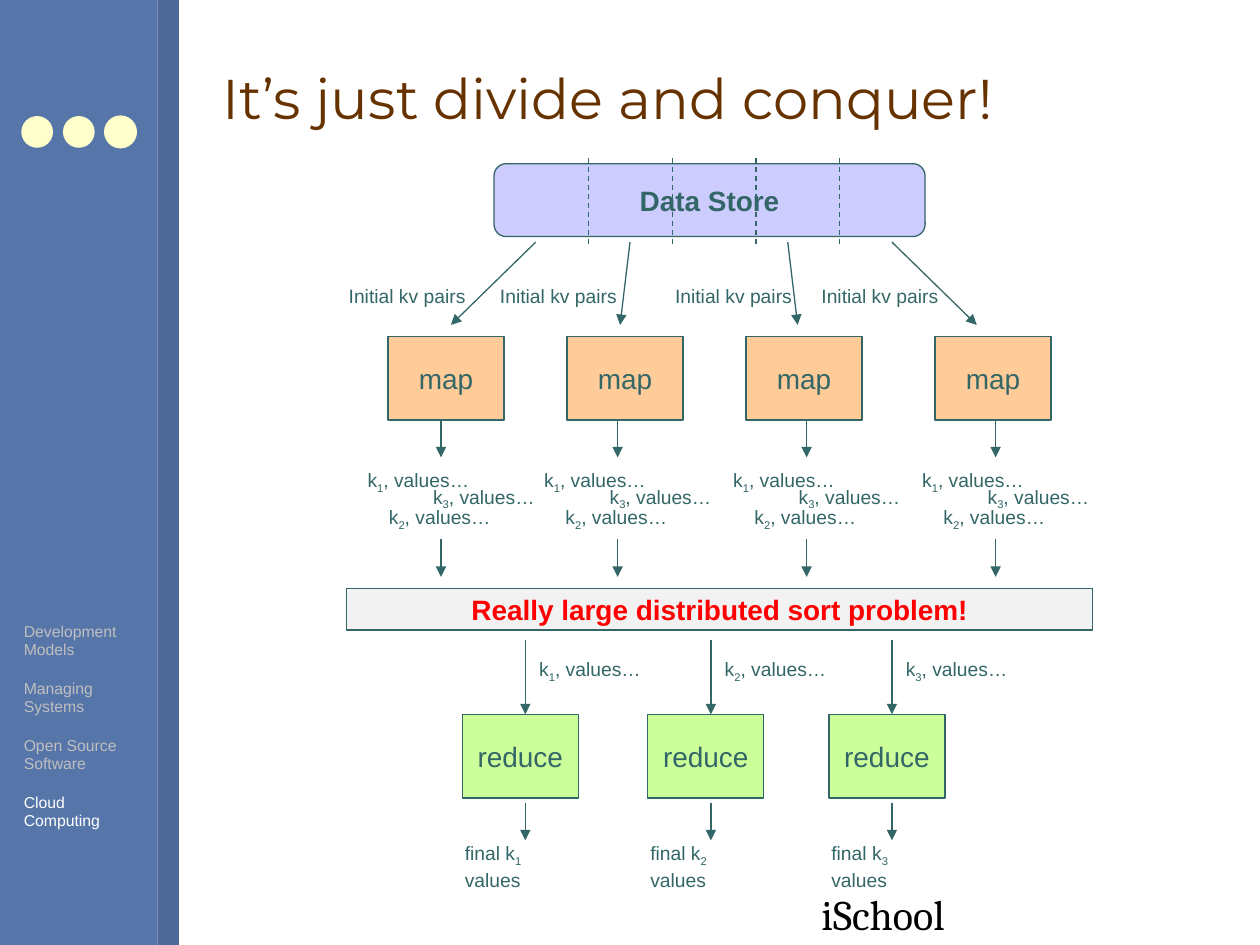
import pptx
import pptx.util
import pptx.dml.color
import pptx.enum.dml
import pptx.enum.shapes
import pptx.enum.text
import pptx.oxml
import pptx.oxml.ns
from lxml import etree

Cm = pptx.util.Cm
Pt = pptx.util.Pt
RGB = pptx.dml.color.RGBColor.from_string
SHAPE = pptx.enum.shapes.MSO_SHAPE
ALIGN = pptx.enum.text.PP_ALIGN
ANCHOR = pptx.enum.text.MSO_ANCHOR


class Theme:
    sidebar, strip, dots = RGB("5675A9"), RGB("4D6997"), RGB("FFFFCC")
    title, ink, alert, black = RGB("663300"), RGB("336666"), RGB("FF0000"), RGB("000000")
    store, map, reduce, sort = RGB("CCCCFF"), RGB("FFCC99"), RGB("CCFF99"), RGB("F2F2F2")
    topic, current_topic = RGB("BFBFBF"), RGB("FFFFFF")
    title_size, brand_size, box_size = Pt(32), Pt(24), Pt(16)
    label_size, topic_size, line_width = Pt(11), Pt(9), Pt(0.75)
    font, title_font, brand_font = "Arial", "Montserrat", "Cambria"


presentation = pptx.Presentation()
presentation.slide_width, presentation.slide_height = Cm(25.4), Cm(19.05)
slide = presentation.slides.add_slide(presentation.slide_layouts[5])
shapes = slide.shapes


def add_block(left, top, width, height, text="", kind=None, fill=None, line=None,
              color=Theme.ink, size=Theme.label_size, font=Theme.font, bold=False):
    """Filled shape, or a plain label when kind is None; |x| in text is a subscript."""
    area = Cm(left), Cm(top), Cm(width), Cm(height)
    if kind is None:
        shape = shapes.add_textbox(*area)
        shape.text_frame.word_wrap = False
    else:
        shape = shapes.add_shape(kind, *area)
        shape.shadow.inherit = False
        shape.fill.solid()
        shape.fill.fore_color.rgb = fill
        if line is None:
            shape.line.fill.background()
        else:
            shape.line.color.rgb = line
            shape.line.width = Theme.line_width
        shape.text_frame.vertical_anchor = ANCHOR.MIDDLE
    if text:
        paragraph = shape.text_frame.paragraphs[0]
        paragraph.alignment = ALIGN.LEFT if kind is None else ALIGN.CENTER
        paragraph.font.name, paragraph.font.size = font, size
        paragraph.font.bold, paragraph.font.color.rgb = bold, color
        for index, part in enumerate(text.split("|")):
            run = paragraph.add_run()
            run.text = part
            if index % 2:
                run._r.get_or_add_rPr().set("baseline", "-25000")
    return shape


def add_line(x1, y1, x2, y2, dashed=False):
    """Dashed divider, or a solid arrow."""
    connector = shapes.add_connector(pptx.enum.shapes.MSO_CONNECTOR.STRAIGHT,
                                     Cm(x1), Cm(y1), Cm(x2), Cm(y2))
    connector.line.color.rgb = Theme.ink
    connector.line.width = Theme.line_width
    if dashed:
        connector.line.dash_style = pptx.enum.dml.MSO_LINE.DASH
    else:
        etree.SubElement(connector.line._get_or_add_ln(),
                         pptx.oxml.ns.qn("a:tailEnd"), type="triangle")
    etree.SubElement(connector._element.spPr, pptx.oxml.ns.qn("a:effectLst"))


# Sidebar with three dots
add_block(0, 0, 3.18, 19.05, kind=SHAPE.RECTANGLE, fill=Theme.sidebar)
add_block(3.18, 0, 0.43, 19.05, kind=SHAPE.RECTANGLE, fill=Theme.strip)
for index in range(3):
    add_block(0.43 + 0.84 * index, 2.34, 0.64, 0.64, kind=SHAPE.OVAL, fill=Theme.dots,
              line=Theme.dots if index == 2 else None)

# Sidebar topics
topics = ["Development\nModels", "Managing\nSystems", "Open Source\nSoftware", "Cloud Computing"]
topic_frame = add_block(0.23, 12.4, 2.95, 4.09).text_frame
for index, topic in enumerate(topics):
    paragraph = topic_frame.add_paragraph() if index else topic_frame.paragraphs[0]
    paragraph.text = topic
    if index:
        paragraph.space_before = Pt(10.9)
    paragraph.font.name, paragraph.font.size = Theme.font, Theme.topic_size
    paragraph.font.color.rgb = Theme.current_topic if topic == topics[-1] else Theme.topic

# Title and school name
title = shapes.title
title.left, title.top, title.width, title.height = Cm(4.24), Cm(0.53), Cm(20.32), Cm(2.87)
title.text_frame.text = "It’s just divide and conquer!"
title.text_frame.vertical_anchor = ANCHOR.MIDDLE
paragraph = title.text_frame.paragraphs[0]
paragraph.alignment = ALIGN.LEFT
paragraph.font.name, paragraph.font.size = Theme.title_font, Theme.title_size
paragraph.font.color.rgb = Theme.title
add_block(16.31, 17.78, 3.23, 1.27, "iSchool", color=Theme.black,
          size=Theme.brand_size, font=Theme.brand_font)

# Data store, cut into five parts
add_block(9.96, 3.3, 8.69, 1.47, "Data Store", SHAPE.ROUNDED_RECTANGLE, Theme.store,
          Theme.ink, size=Theme.box_size, bold=True)
for index in range(4):
    x = 11.86 + 1.69 * index
    add_line(x, 3.18, x, 4.95, dashed=True)

# Map columns: box left, arrow start, arrow end, pair label left, flow axis
map_columns = [
    (7.82, 10.8, 9.09, 6.78, 8.89),
    (11.43, 12.7, 12.5, 9.83, 12.45),
    (15.04, 15.88, 16.08, 13.36, 16.26),
    (18.85, 17.98, 19.69, 16.31, 20.07),
]
value_offsets = [(1, -1.73, 9.32), (2, -1.3, 10.07), (3, -0.41, 9.65)]
for box_left, start, end, label_left, axis in map_columns:
    add_block(box_left, 6.78, 2.34, 1.69, "map", SHAPE.RECTANGLE, Theme.map, Theme.ink,
              size=Theme.box_size)
    add_line(start, 4.88, end, 6.55)
    add_block(label_left, 5.61, 2.87, 0.74, "Initial kv pairs")
    for key, offset, top in value_offsets:
        add_block(axis + offset, top, 2.57, 0.79, f"k|{key}|, values…")
    for top in (8.46, 10.87):
        add_line(axis, top, axis, top + 0.76)

# Sort bar
add_block(6.99, 11.86, 15.04, 0.84, "Really large distributed sort problem!", SHAPE.RECTANGLE,
          Theme.sort, Theme.ink, color=Theme.alert, size=Theme.box_size, bold=True)

# Reduce columns
for key, left in enumerate((9.32, 13.06, 16.71), start=1):
    axis = left + 1.27
    add_block(left, 14.4, 2.34, 1.69, "reduce", SHAPE.RECTANGLE, Theme.reduce, Theme.ink,
              size=Theme.box_size)
    add_block(left + 1.3, 13.13, 2.57, 0.79, f"k|{key}|, values…")
    add_block(left - 0.2, 16.84, 2.87, 0.79, f"final k|{key}| values")
    add_line(axis, 12.9, axis, 14.4)
    add_line(axis, 16.18, axis, 16.94)

presentation.save("out.pptx")
